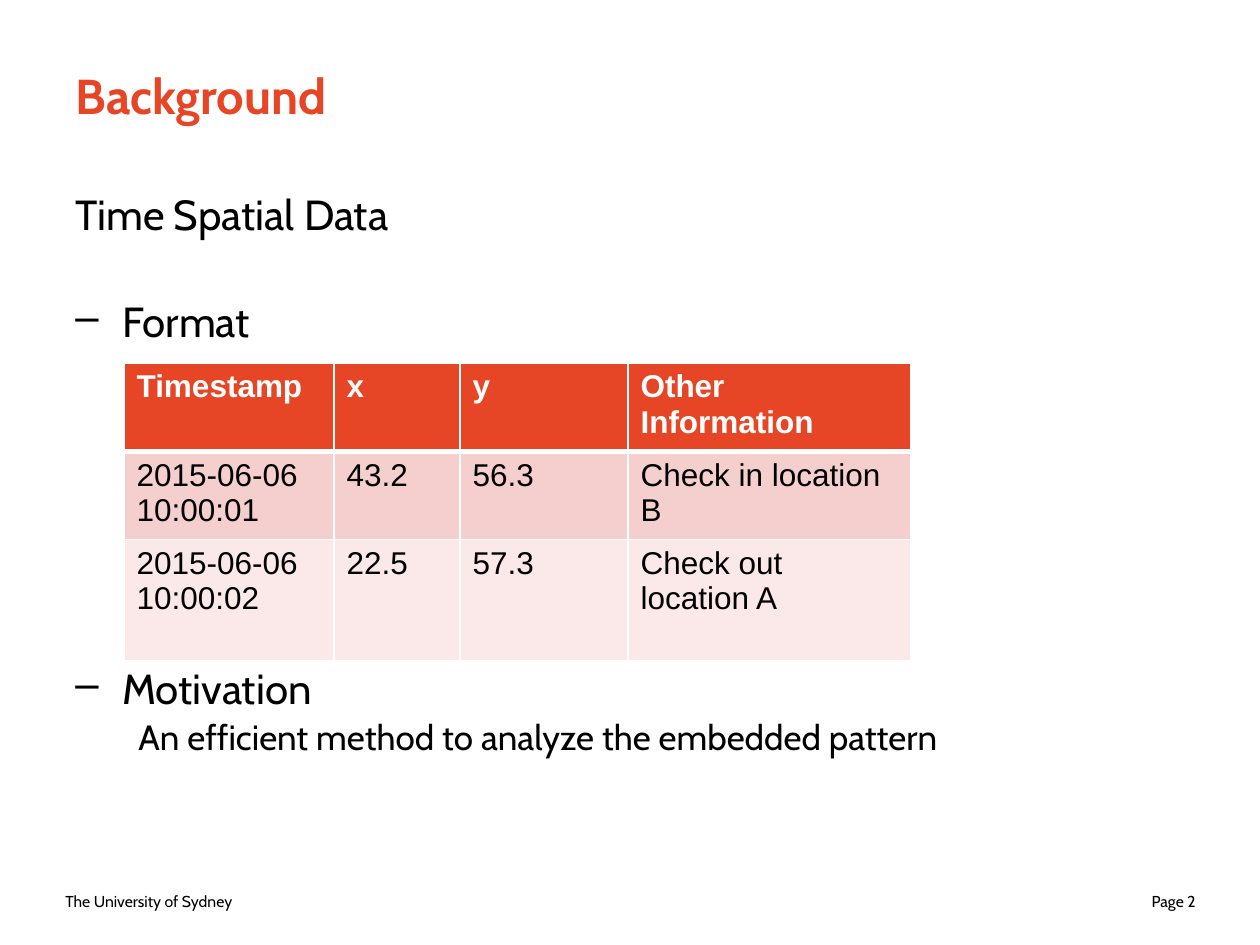
import pptx
import pptx.util
import pptx.dml.color
import pptx.enum.text
import pptx.oxml.ns
from lxml import etree

# Content
COLORS = {"accent": "E64626", "band1": "F5CFCD", "band2": "FAE9E8",
          "text": "000000", "white": "FFFFFF"}
FONT, TABLE_FONT = "Cabin", "Arial"
TITLE = "Background"
BODY = [  # text, size, space before (pt), left indent (px), bullet
    ("Time Spatial Data", 24, 0, 0, None),
    ("Format", 24, 35.5, 47, "–"),
    ("Motivation", 24, 183.5, 47, "–"),
    ("An efficient method to analyze the embedded pattern", 20, 4, 63, None),
]
ROWS = [
    (["Timestamp"], ["x"], ["y"], ["Other Information"]),
    (["2015-06-06", "10:00:01"], ["43.2"], ["56.3"], ["Check in location B"]),
    (["2015-06-06", "10:00:02"], ["22.5"], ["57.3"], ["Check out location A"]),
]
ROW_FILLS = ["accent", "band1", "band2"]
COL_WIDTHS = [210, 126, 168, 283]
ROW_HEIGHTS = [82, 84, 121]
FOOTERS = [("The University of Sydney", 53, "LEFT"), ("Page 2", 914, "RIGHT")]


def px(v):
    return pptx.util.Emu(round(v * 914400 / 126))


def add_run(p, text, size, color="text", font=FONT, bold=False):
    r = p.add_run()
    r.text = text
    r.font.size = pptx.util.Pt(size)
    r.font.name = font
    r.font.bold = bold
    r.font.color.rgb = pptx.dml.color.RGBColor.from_string(COLORS[color])


def add_box(s, x, y, w, h):
    tf = s.shapes.add_textbox(px(x), px(y), px(w), px(h)).text_frame
    tf.word_wrap = True
    return tf


def set_indent(p, left, bullet):
    pPr = p._p.get_or_add_pPr()
    pPr.set("marL", str(px(left)))
    pPr.set("indent", str(px(-left if bullet else 0)))
    tag = "a:buChar" if bullet else "a:buNone"
    bu = etree.SubElement(pPr, pptx.oxml.ns.qn(tag))
    if bullet:
        bu.set("char", bullet)


def set_border(cell, side, width):
    qn = pptx.oxml.ns.qn
    ln = etree.SubElement(cell._tc.get_or_add_tcPr(), qn("a:ln" + side),
                          w=str(pptx.util.Pt(width)))
    fill = etree.SubElement(ln, qn("a:solidFill"))
    etree.SubElement(fill, qn("a:srgbClr"), val=COLORS["white"])


prs = pptx.Presentation()
prs.slide_width, prs.slide_height = px(1260), px(945)
s = prs.slides.add_slide(prs.slide_layouts[5])
ALIGN = pptx.enum.text.PP_ALIGN
MIDDLE = pptx.enum.text.MSO_ANCHOR.MIDDLE

# Title
title = s.shapes.title
title.left, title.top, title.width, title.height = px(63), px(16), px(1134), px(158)
title.text_frame.vertical_anchor = MIDDLE
p = title.text_frame.paragraphs[0]
p.alignment = ALIGN.LEFT
add_run(p, TITLE, 28, "accent", bold=True)

# Body, with a gap for the table
tf = add_box(s, 63, 188, 1134, 665)
for i, (text, size, before, left, bullet) in enumerate(BODY):
    p = tf.add_paragraph() if i else tf.paragraphs[0]
    set_indent(p, left, bullet)
    p.line_spacing = 0.9
    p.space_before = pptx.util.Pt(before)
    add_run(p, text, size)

# Table
table = s.shapes.add_table(len(ROWS), len(COL_WIDTHS), px(124), px(363),
                           px(sum(COL_WIDTHS)), px(sum(ROW_HEIGHTS))).table
for col, width in zip(table.columns, COL_WIDTHS):
    col.width = px(width)
for i, cells in enumerate(ROWS):
    table.rows[i].height = px(ROW_HEIGHTS[i])
    header = i == 0
    for j, lines in enumerate(cells):
        cell = table.cell(i, j)
        for side in "LRTB":
            under_header = (i, side) in [(0, "B"), (1, "T")]
            set_border(cell, side, 3 if under_header else 1)
        cell.fill.solid()
        cell.fill.fore_color.rgb = pptx.dml.color.RGBColor.from_string(
            COLORS[ROW_FILLS[i]])
        for k, line in enumerate(lines):
            p = cell.text_frame.add_paragraph() if k else cell.text_frame.paragraphs[0]
            add_run(p, line, 18, "white" if header else "text", TABLE_FONT, header)

# Footer
for text, x, align in FOOTERS:
    tf = add_box(s, x, 876, 294, 50)
    tf.vertical_anchor = MIDDLE
    tf.paragraphs[0].alignment = ALIGN[align]
    add_run(tf.paragraphs[0], text, 9)

prs.save("out.pptx")
